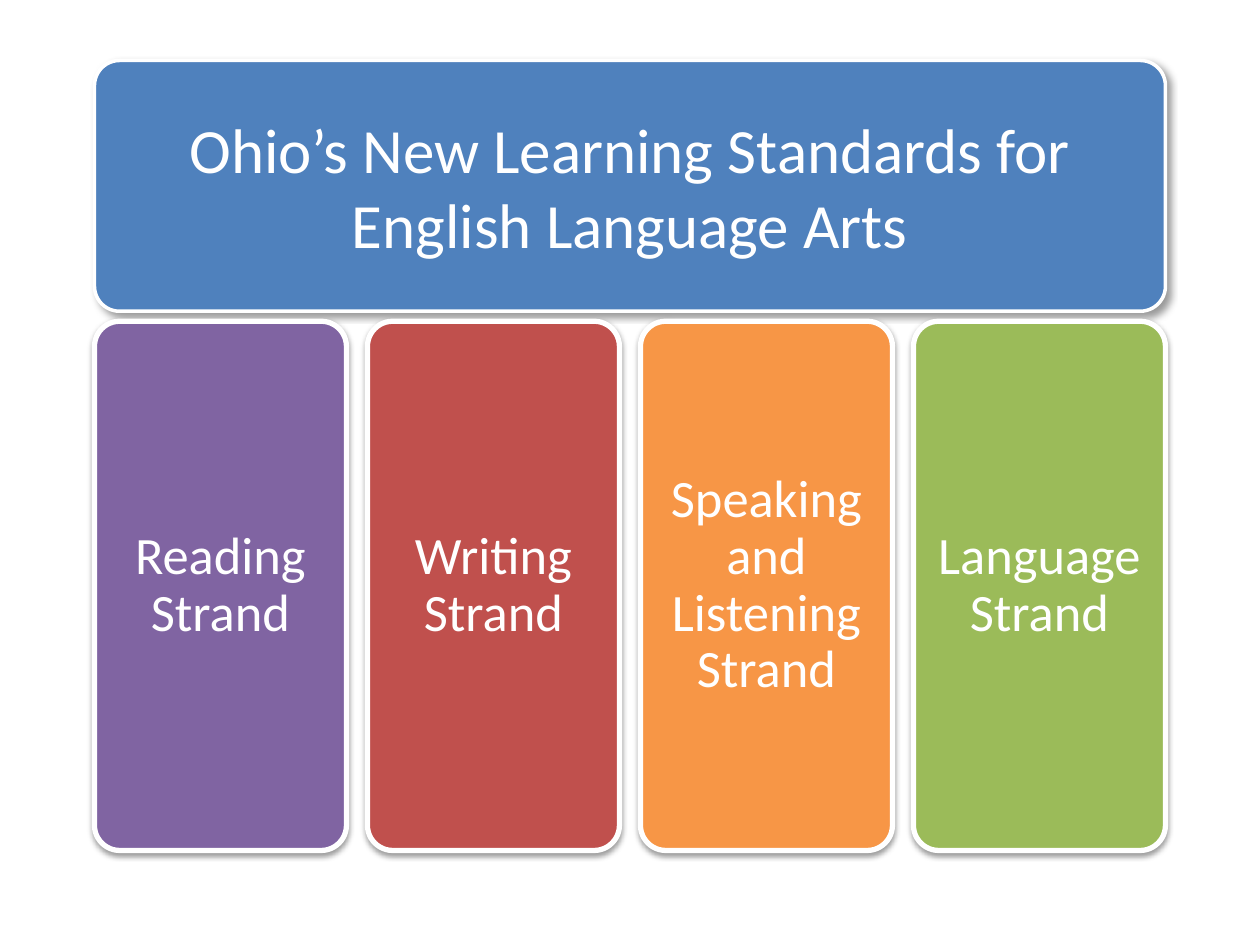
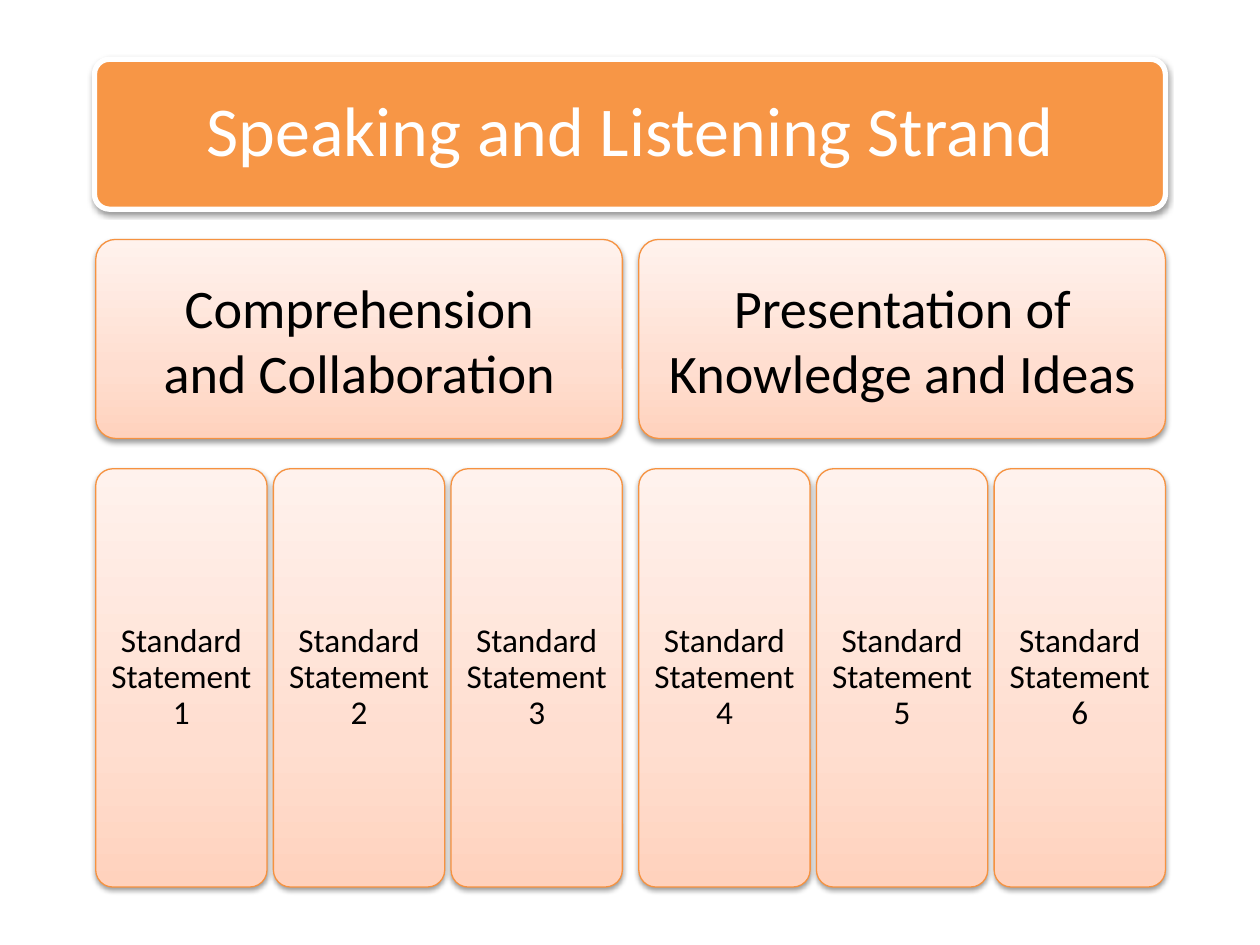
"""Build two slides that show the strands and statements of the standards."""
from dataclasses import dataclass
from lxml.etree import SubElement
from pptx import Presentation
from pptx.dml.color import RGBColor
from pptx.enum.shapes import MSO_SHAPE
from pptx.enum.text import MSO_ANCHOR, PP_ALIGN
from pptx.oxml.ns import qn
from pptx.util import Inches, Pt

HEAD = "Ohio’s New Learning Standards for English Language Arts"
STRANDS = [
    ("Reading Strand", "8064A2"),
    ("Writing Strand", "C0504D"),
    ("Speaking and Listening Strand", "F79646"),
    ("Language Strand", "9BBB59"),
]
TOPICS = [
    ("Comprehension\nand Collaboration", [1, 2, 3]),
    ("Presentation of Knowledge and Ideas", [4, 5, 6]),
]


@dataclass(frozen=True)
class Theme:
    font: str = "Calibri"
    white: str = "FFFFFF"
    black: str = "000000"
    blue: str = "4F81BD"
    edge: str = "F69240"
    fade: tuple = ((0, "FFD2BD"), (35, "FFDED0"), (100, "FFF2ED"))
    head: int = 36
    strand: int = 30
    title: int = 40
    topic: int = 31
    item: int = 19
    tight: float = 0.9
    soft: tuple = (38, 3.1, 1.6, 90)
    deep: tuple = (40, 4, 3, 45)


THEME = Theme()


def spread(left, right, count, width):
    """Return the left edges of equally spaced boxes."""
    step = (right - left - width) / (count - 1)
    return [left + i * step for i in range(count)]


def tint(parent, color):
    """Add a colour element and return it."""
    return SubElement(parent, qn("a:srgbClr"), val=color)


def shade(shape, alpha, blur, dist, angle):
    """Give the shape an outer shadow."""
    shape.shadow.inherit = False
    effects = shape.element.spPr.find(qn("a:effectLst"))
    outer = SubElement(
        effects, qn("a:outerShdw"), blurRad=str(Pt(blur)), dist=str(Pt(dist)),
        dir=str(angle * 60000), rotWithShape="0")
    SubElement(tint(outer, THEME.black), qn("a:alpha"), val=str(alpha * 1000))


def blend(shape):
    """Fill the shape with the theme's upward fade."""
    shape.fill.gradient()
    shape.fill.gradient_angle = 90
    stops = shape.element.spPr.find(qn("a:gradFill")).find(qn("a:gsLst"))
    for stop in list(stops):
        stops.remove(stop)
    for pos, color in THEME.fade:
        tint(SubElement(stops, qn("a:gs"), pos=str(pos * 1000)), color)


def card(slide, spot, text, size, inset, fill=None, line=3, space=THEME.tight,
         shadow=THEME.soft):
    """Add a rounded card: solid with white text, or faded with black text."""
    shape = slide.shapes.add_shape(
        MSO_SHAPE.ROUNDED_RECTANGLE, *[Inches(n) for n in spot])
    shape.adjustments[0] = 0.1
    if fill:
        shape.fill.solid()
        shape.fill.fore_color.rgb = RGBColor.from_string(fill)
    else:
        blend(shape)
    edge, ink = (THEME.white, THEME.white) if fill else (THEME.edge, THEME.black)
    shape.line.color.rgb = RGBColor.from_string(edge)
    shape.line.width = Pt(line)
    shade(shape, *shadow)
    frame = shape.text_frame
    frame.text = text
    frame.word_wrap = True
    frame.vertical_anchor = MSO_ANCHOR.MIDDLE
    frame.margin_left = frame.margin_right = Inches(inset)
    frame.margin_top = frame.margin_bottom = Inches(inset)
    for para in frame.paragraphs:
        para.alignment = PP_ALIGN.CENTER
        para.line_spacing = space
        for run in para.runs:
            run.font.name = THEME.font
            run.font.size = Pt(size)
            run.font.color.rgb = RGBColor.from_string(ink)


def strands(slide):
    """Draw the heading with one column for each strand."""
    card(slide, (0.75, 0.48, 8.5, 1.99), HEAD, THEME.head, 0.15, THEME.blue,
         line=2, space=1.0, shadow=THEME.deep)
    lefts = spread(0.75, 9.25, len(STRANDS), 2)
    for left, (name, color) in zip(lefts, STRANDS):
        card(slide, (left, 2.55, 2, 4.2), name, THEME.strand, 0.12, color)


def topics(slide):
    """Draw one strand with its topics and their statements."""
    name, color = STRANDS[2]
    card(slide, (0.75, 0.47, 8.5, 1.19), name, THEME.title, 0.17, color)
    wide, slim = 4.18, 1.36
    for left, (topic, items) in zip(spread(0.76, 9.25, len(TOPICS), wide), TOPICS):
        card(slide, (left, 1.9, wide, 1.58), topic, THEME.topic, 0.13,
             line=0.75, space=1.0)
        for x, item in zip(spread(left, left + wide, len(items), slim), items):
            card(slide, (x, 3.72, slim, 3.32), f"Standard Statement {item}",
                 THEME.item, 0.08, line=0.75)


def main():
    """Build and save the deck."""
    deck = Presentation()
    deck.slide_width, deck.slide_height = Inches(10), Inches(7.5)
    for draw in (strands, topics):
        draw(deck.slides.add_slide(deck.slide_layouts[6]))
    deck.save("out.pptx")


if __name__ == "__main__":
    main()
